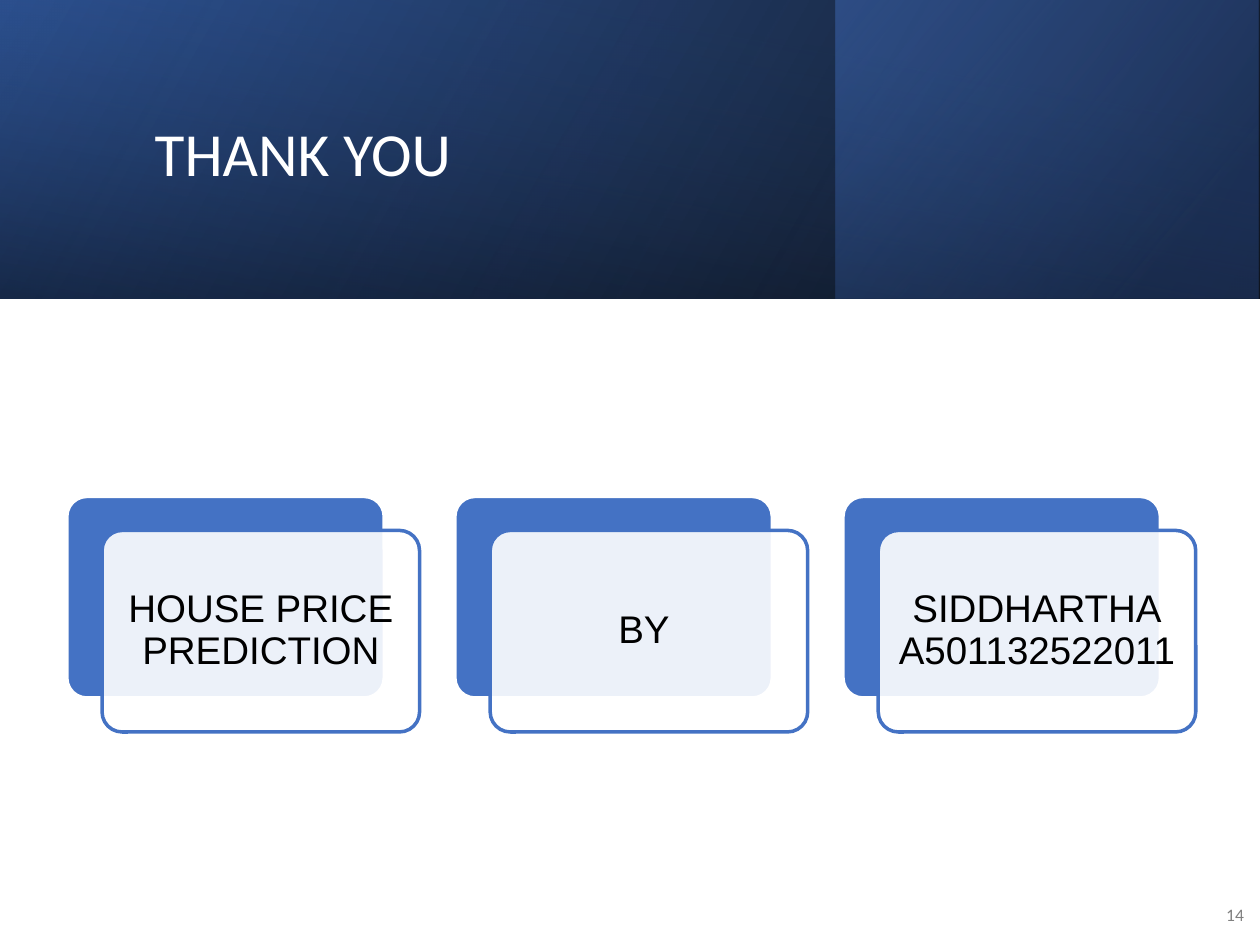
from lxml.etree import SubElement as Sub
from pptx import Presentation
from pptx.dml.color import RGBColor as RGB
from pptx.enum.shapes import MSO_SHAPE as Geo
from pptx.enum.text import MSO_ANCHOR as Anchor, PP_ALIGN as Align
from pptx.oxml.ns import qn
from pptx.util import Inches as In, Pt

TITLE = "THANK YOU"
PAGE = "14"
CARDS = ["HOUSE PRICE PREDICTION", "BY ", "SIDDHARTHA\vA501132522011"]

THEME = {
    "blue": "4472C4", "white": "FFFFFF",
    "title": {"size": Pt(35), "name": "Calibri", "color": "FFFFFF"},
    "page": {"size": Pt(10), "name": "Calibri", "color": "808080"},
    "card": {"size": Pt(22), "name": "Arial", "color": "000000"},
}

WIDE, HIGH = 10, 7.5
BAND = 2.37
# box, rotation, angle, stops of (position %, colour, opacity %)
SHADES = [
    ((0, 0, WIDE, BAND), 0, 330, [(0, "000000", 96), (100, "2F5597", 100)]),
    ((6.63, 0, 3.36, BAND), 0, 320, [(19, "203864", 68), (100, "4472C4", 48)]),
    (((WIDE - BAND) / 2, (BAND - WIDE) / 2, BAND, WIDE), 270, 350,
     [(23, "2F5597", 16), (99, "000000", 45)]),
]

# Card grid: first corner, column step, card size, offset of the front card
LEFT, TOP, STEP = 0.53, 3.94, 3.08
CARD_W, CARD_H = 2.52, 1.6
SHIFT_X, SHIFT_Y, INSET = 0.28, 0.27, 0.05


def alpha(color, share):
    Sub(color, qn("a:alpha"), val=str(share * 1000))


def shape(parent, geo, box):
    item = parent.add_shape(geo, *map(In, box))
    item.shadow.inherit = False
    return item


def shade(parent, box, turn, angle, stops):
    """Add a mirrored rectangle with a see-through gradient."""
    item = shape(parent, Geo.RECTANGLE, box)
    item.rotation = turn
    item.line.fill.background()
    item.fill.gradient()
    props = item._element.spPr
    props.find(qn("a:xfrm")).set("flipH", "1")
    grad = props.find(qn("a:gradFill"))
    grad.set("rotWithShape", "1")
    grad.find(qn("a:lin")).set("ang", str(angle * 60000))
    grad.find(qn("a:lin")).set("scaled", "0")
    points = grad.find(qn("a:gsLst"))
    for old in list(points):
        points.remove(old)
    for pos, color, share in stops:
        stop = Sub(points, qn("a:gs"), pos=str(pos * 1000))
        alpha(Sub(stop, qn("a:srgbClr"), val=color), share)


def card(parent, box, fill, line):
    item = shape(parent, Geo.ROUNDED_RECTANGLE, box)
    item.adjustments[0] = 0.1
    item.fill.solid()
    item.fill.fore_color.rgb = RGB.from_string(fill)
    item.line.color.rgb = RGB.from_string(line)
    item.line.width = Pt(2)
    return item


def label(parent, box, text, style, para, pad=None):
    frame = parent.add_textbox(*map(In, box)).text_frame
    frame.word_wrap = True
    frame.vertical_anchor = Anchor.MIDDLE
    if pad is not None:
        for side in ("left", "right", "top", "bottom"):
            setattr(frame, "margin_" + side, In(pad))
    frame.text = text
    first = frame.paragraphs[0]
    for key, value in para.items():
        setattr(first, key, value)
    for run in first.runs:
        for key in ("size", "name"):
            setattr(run.font, key, THEME[style][key])
        run.font.color.rgb = RGB.from_string(THEME[style]["color"])


def main():
    deck = Presentation()
    deck.slide_width, deck.slide_height = In(WIDE), In(HIGH)
    slide = deck.slides.add_slide(deck.slide_layouts[6])
    root = slide.shapes

    for part in SHADES:
        shade(root, *part)
    label(root, (1.13, 0.38, 7.97, 1.72), TITLE, "title", {"line_spacing": 0.9})
    label(root, (9.6, 7.06, 0.37, 0.4), PAGE, "page",
          {"alignment": Align.RIGHT, "space_after": Pt(6)})

    group = root.add_group_shape().shapes
    blue, white = THEME["blue"], THEME["white"]
    for col, text in enumerate(CARDS):
        x = LEFT + col * STEP
        card(group, (x, TOP, CARD_W, CARD_H), blue, white)
        x, y = x + SHIFT_X, TOP + SHIFT_Y
        front = card(group, (x, y, CARD_W, CARD_H), white, blue)
        alpha(front._element.spPr.find(qn("a:solidFill"))[0], 90)
        label(group, (x + INSET, y + INSET, CARD_W - 2 * INSET, CARD_H - 2 * INSET),
              text, "card", {"alignment": Align.CENTER, "line_spacing": 0.9}, 0.09)

    deck.save("out.pptx")


if __name__ == "__main__":
    main()
